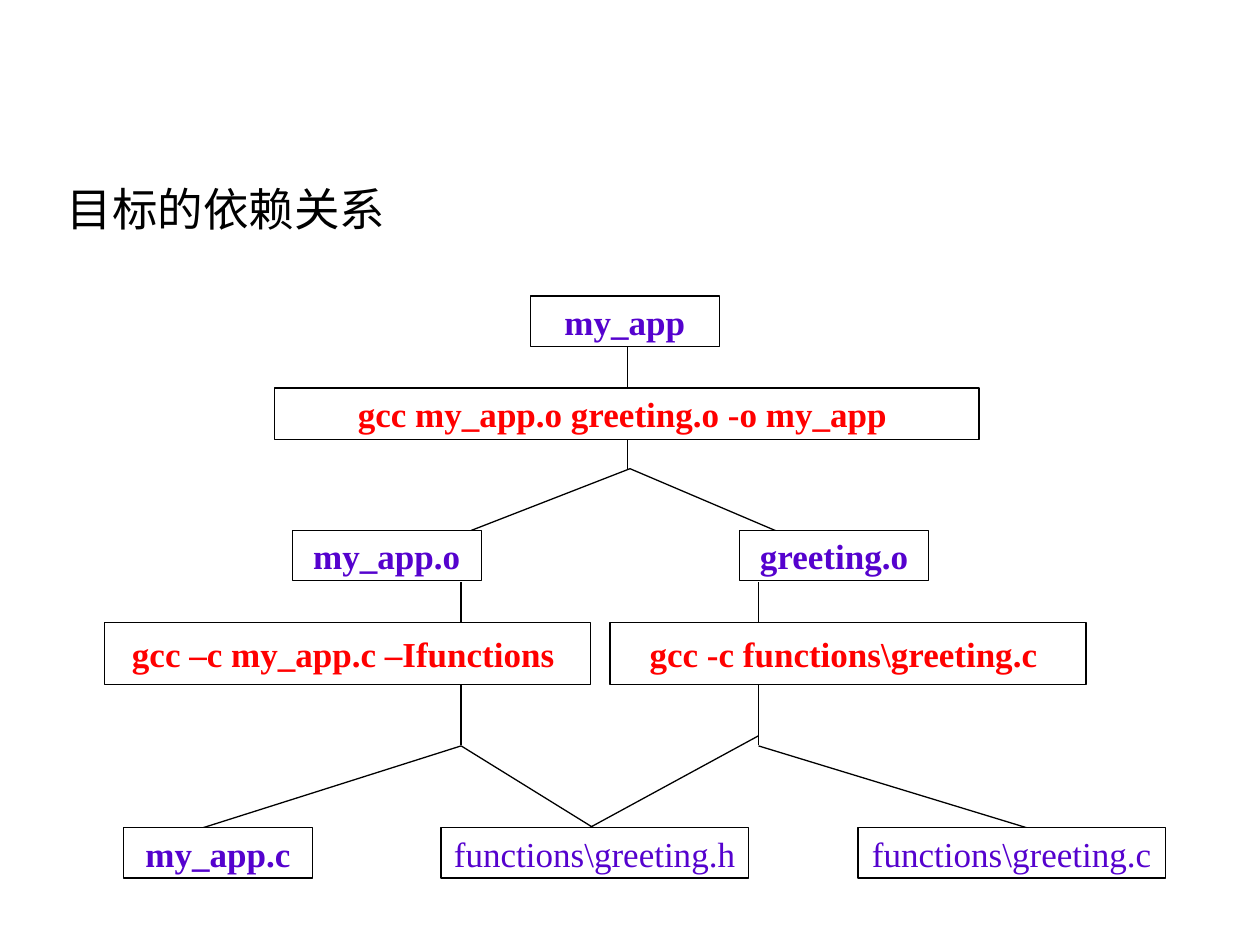
from dataclasses import dataclass

from lxml import etree
from pptx import Presentation
from pptx import util as u
from pptx.dml import color
from pptx.enum import shapes, text
from pptx.oxml import ns


@dataclass(frozen=True)
class Theme:
    ink: str = "000000"
    paper: str = "FFFFFF"
    target: str = "5502CE"
    command: str = "FF0000"
    heading_font: str = "Cabin"
    node_font: str = "Times New Roman"
    heading_size: int = 26
    node_size: int = 20
    line_width: float = 0.75


THEME = Theme()

FILES = [
    ("my_app", 4.21, 2.35, 1.5, True),
    ("my_app.o", 2.32, 4.21, 1.5, True),
    ("greeting.o", 5.87, 4.21, 1.5, True),
    ("my_app.c", 0.98, 6.57, 1.5, True),
    ("functions\\greeting.h", 3.5, 6.57, 2.44, False),
    ("functions\\greeting.c", 6.81, 6.57, 2.44, False),
]
COMMANDS = [
    ("gcc my_app.o greeting.o -o my_app ", 2.18, 3.08, 5.59, 0.41),
    ("gcc –c my_app.c –Ifunctions ", 0.83, 4.94, 3.86, 0.49),
    ("gcc -c functions\\greeting.c ", 4.84, 4.94, 3.78, 0.49),
]
BRANCHES = [
    (5, 3.72, 3.74, 4.21),
    (5, 3.72, 6.34, 4.29),
    (3.66, 5.92, 1.61, 6.57),
    (3.66, 5.92, 4.84, 6.65),
    (6.02, 5.92, 8.15, 6.57),
    (6.02, 5.84, 4.53, 6.65),
]
TRUNKS = [(4.98, 2.75, 3.72), (3.66, 4.62, 5.91), (6.02, 4.62, 5.91)]


def rgb(value):
    return color.RGBColor.from_string(value)


def write_text(frame, words, *, font, size, ink, bold=False,
               align=text.PP_ALIGN.LEFT, anchor=text.MSO_ANCHOR.TOP, wrap=True):
    frame.word_wrap = wrap
    frame.auto_size = text.MSO_AUTO_SIZE.NONE
    frame.vertical_anchor = anchor
    para = frame.paragraphs[0]
    para.alignment = align
    para.space_before = u.Pt(0)
    span = para.add_run()
    span.text = words
    span.font.name = font
    span.font.size = u.Pt(size)
    span.font.bold = bold
    span.font.color.rgb = rgb(ink)
    return para


def add_heading(page, words):
    body = page.placeholders[1]
    body.left, body.top = u.Inches(0.43), u.Inches(1.39)
    body.width, body.height = u.Inches(9), u.Inches(0.71)
    para = write_text(body.text_frame, words, font=THEME.heading_font,
                      size=THEME.heading_size, ink=THEME.ink)
    properties = para._p.get_or_add_pPr()
    properties.set("marL", str(u.Inches(0.38)))
    properties.set("indent", str(u.Inches(-0.38)))
    etree.SubElement(properties, ns.qn("a:buNone"))


def add_node(page, words, left, top, width, height, ink, bold=True):
    box = page.shapes.add_shape(
        shapes.MSO_SHAPE.RECTANGLE,
        u.Inches(left), u.Inches(top), u.Inches(width), u.Inches(height))
    box.shadow.inherit = False
    box.fill.solid()
    box.fill.fore_color.rgb = rgb(THEME.paper)
    box.line.color.rgb = rgb(THEME.ink)
    box.line.width = u.Pt(THEME.line_width)
    write_text(box.text_frame, words, font=THEME.node_font,
               size=THEME.node_size, ink=ink, bold=bold, wrap=False,
               align=text.PP_ALIGN.CENTER, anchor=text.MSO_ANCHOR.MIDDLE)


def add_line(page, x1, y1, x2, y2):
    line = page.shapes.add_connector(
        shapes.MSO_CONNECTOR.STRAIGHT,
        u.Inches(x1), u.Inches(y1), u.Inches(x2), u.Inches(y2))
    line.line.color.rgb = rgb(THEME.ink)
    line.line.width = u.Pt(THEME.line_width)
    etree.SubElement(line._element.spPr, ns.qn("a:effectLst"))


def main():
    deck = Presentation()
    deck.slide_width, deck.slide_height = u.Inches(10), u.Inches(7.5)
    page = deck.slides.add_slide(deck.slide_layouts[1])
    title = page.shapes.title._element
    title.getparent().remove(title)

    add_heading(page, "目标的依赖关系")
    for branch in BRANCHES:
        add_line(page, *branch)
    for x, top, bottom in TRUNKS:
        add_line(page, x, top, x, bottom)
    for words, left, top, width, bold in FILES:
        add_node(page, words, left, top, width, 0.4, THEME.target, bold)
    for command in COMMANDS:
        add_node(page, *command, THEME.command)
    deck.save("out.pptx")


if __name__ == "__main__":
    main()
